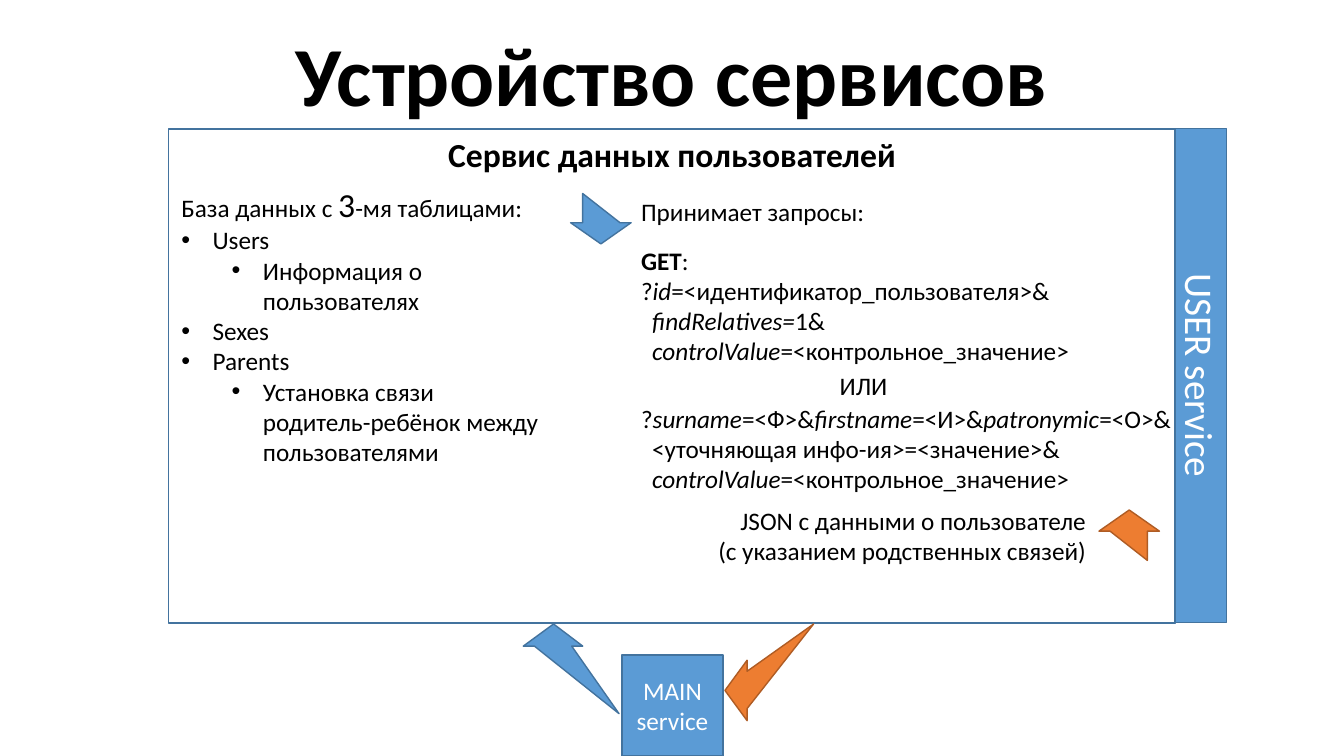
import pptx
import pptx.dml.color
import pptx.enum.shapes
import pptx.enum.text
import pptx.util
from lxml import etree
from pptx.oxml.ns import qn

PX = 9144  # 100 px to the inch

BLACK = pptx.dml.color.RGBColor(0x00, 0x00, 0x00)
WHITE = pptx.dml.color.RGBColor(0xFF, 0xFF, 0xFF)
BLUE = pptx.dml.color.RGBColor(0x5B, 0x9B, 0xD5)
DARK_BLUE = pptx.dml.color.RGBColor(0x43, 0x73, 0x9E)
ORANGE = pptx.dml.color.RGBColor(0xED, 0x7D, 0x31)
DARK_ORANGE = pptx.dml.color.RGBColor(0xAF, 0x5C, 0x24)

ALIGN = pptx.enum.text.PP_ALIGN
ANCHOR = pptx.enum.text.MSO_ANCHOR
BOLD = {"bold": True}
ITALIC = {"italic": True}
LINE_BREAK = "\n"

# Arrow outlines as offsets from the tip
SHORT_ARROW = [(30, -21), (19, -21), (-18, -50), (-18, -21), (-30, -21)]
REQUEST_ARROW = [(-30, 22), (-19, 22), (65, 89), (18, 22), (29, 22)]
RESPONSE_ARROW = [(22, 30), (22, 18), (88, -66), (22, -19), (22, -30)]


def px(value):
    return pptx.util.Emu(value * PX)


def apply_format(target, values):
    for name, value in values.items():
        setattr(target, name, value)


def add_run(paragraph, text, color, values):
    if text == LINE_BREAK:
        paragraph.add_line_break()
        return
    run = paragraph.add_run()
    run.text = text
    apply_format(run.font, {"name": "Calibri", **values})
    run.font.color.rgb = color


def fill_text(frame, paragraphs, size, color=BLACK, align=ALIGN.LEFT, values=None):
    """Each paragraph is a string or a list of strings and (string, format) pairs."""
    result = []
    for index, content in enumerate(paragraphs):
        paragraph = frame.add_paragraph() if index else frame.paragraphs[0]
        paragraph.alignment = align
        for part in [content] if isinstance(content, str) else content:
            text, extra = (part, {}) if isinstance(part, str) else part
            add_run(paragraph, text, color,
                    {"size": pptx.util.Pt(size), **(values or {}), **extra})
        result.append(paragraph)
    return result


def add_text(slide, box, paragraphs, size=18, wrap=True, anchor=ANCHOR.TOP, **style):
    frame = slide.shapes.add_textbox(*map(px, box)).text_frame
    apply_format(frame, {
        "word_wrap": wrap,
        "auto_size": pptx.enum.text.MSO_AUTO_SIZE.SHAPE_TO_FIT_TEXT,
        "vertical_anchor": anchor,
    })
    return fill_text(frame, paragraphs, size, **style)


def indent(paragraph, left, first=0):
    properties = paragraph._p.get_or_add_pPr()
    properties.set("marL", str(px(left)))
    properties.set("indent", str(px(first)))
    return properties


def add_bullet(paragraph, level):
    paragraph.level = level
    properties = indent(paragraph, 31 + 50 * level, -31)
    etree.SubElement(properties, qn("a:buFont")).set("typeface", "Arial")
    etree.SubElement(properties, qn("a:buChar")).set("char", "•")


def paint(shape, fill, line):
    shape.shadow.inherit = False
    shape.fill.solid()
    shape.fill.fore_color.rgb = fill
    shape.line.color.rgb = line
    shape.line.width = pptx.util.Pt(1)


def add_block(slide, box, fill, lines=(), size=18, rotation=0):
    block = slide.shapes.add_shape(
        pptx.enum.shapes.MSO_SHAPE.RECTANGLE, *map(px, box))
    paint(block, fill, DARK_BLUE)
    block.rotation = rotation
    block.text_frame.vertical_anchor = ANCHOR.MIDDLE
    fill_text(block.text_frame, lines, size, color=WHITE, align=ALIGN.CENTER)


def add_arrow(slide, tip, outline, fill, line, sign=1):
    points = [(tip[0] + sign * x, tip[1] + sign * y) for x, y in outline]
    builder = slide.shapes.build_freeform(*tip, scale=PX)
    builder.add_line_segments(points, close=True)
    paint(builder.convert_to_shape(), fill, line)


def add_database(slide):
    tables = [
        ("Users", 0),
        ("Информация о пользователях", 1),
        ("Sexes", 0),
        ("Parents", 0),
        ("Установка связи родитель-ребёнок между пользователями", 1),
    ]
    heading = ["База данных с ", ("3", {"size": pptx.util.Pt(24)}), "-мя таблицами:"]
    paragraphs = add_text(slide, (170, 178, 381, 293),
                          [heading] + [name for name, _ in tables])
    for paragraph, (_, level) in zip(paragraphs[1:], tables):
        add_bullet(paragraph, level)


def add_requests(slide):
    control = [("controlValue", ITALIC), "=<контрольное_значение>"]
    add_text(slide, (626, 190, 244, 40), ["Принимает запросы:"], wrap=False)
    by_id = add_text(slide, (626, 238, 450, 131), [
        [("GET", BOLD), ":"],
        ["?", ("id", ITALIC), "=<идентификатор_пользователя>&"],
        [("findRelatives=", ITALIC), "1&"],
        control,
    ], wrap=False)
    add_text(slide, (626, 362, 461, 40), ["ИЛИ"], align=ALIGN.CENTER)
    by_name = add_text(slide, (626, 395, 565, 101), [
        ["?", ("surname", ITALIC), "=<Ф>&", ("firstname", ITALIC), "=<И>&",
         ("patronymic", ITALIC), "=<О>&"],
        "<уточняющая инфо-ия>=<значение>&",
        control,
    ], wrap=False)
    for paragraph in by_id[2:] + by_name[1:]:
        indent(paragraph, 11)
    add_text(slide, (626, 496, 461, 71), [
        ["JSON с данными о пользователе", LINE_BREAK,
         "(с указанием родственных связей)"],
    ], align=ALIGN.RIGHT)


def main():
    presentation = pptx.Presentation()
    apply_format(presentation, {"slide_width": px(1333), "slide_height": px(750)})
    slide = presentation.slides.add_slide(presentation.slide_layouts[6])

    # Service frame and headings
    add_block(slide, (167, 128, 999, 490), WHITE)
    add_text(slide, (100, 17, 1133, 111), ["Устройство сервисов"], size=60,
             anchor=ANCHOR.MIDDLE, align=ALIGN.CENTER, values=BOLD)
    add_text(slide, (432, 128, 469, 50), ["Сервис данных пользователей"], size=24,
             wrap=False, align=ALIGN.CENTER, values=BOLD)

    # Service contents
    add_database(slide)
    add_requests(slide)

    # Requests in blue, responses in orange
    add_arrow(slide, (596, 242), SHORT_ARROW, BLUE, DARK_BLUE)
    add_arrow(slide, (1120, 506), SHORT_ARROW, ORANGE, DARK_ORANGE, sign=-1)
    add_arrow(slide, (549, 619), REQUEST_ARROW, BLUE, DARK_BLUE)
    add_arrow(slide, (719, 685), RESPONSE_ARROW, ORANGE, DARK_ORANGE)

    # Service names
    add_block(slide, (617, 650, 100, 100), BLUE, ["MAIN", "service"])
    add_block(slide, (946, 347, 490, 51), BLUE, ["USER service"], size=28, rotation=90)

    presentation.save("out.pptx")


if __name__ == "__main__":
    main()
